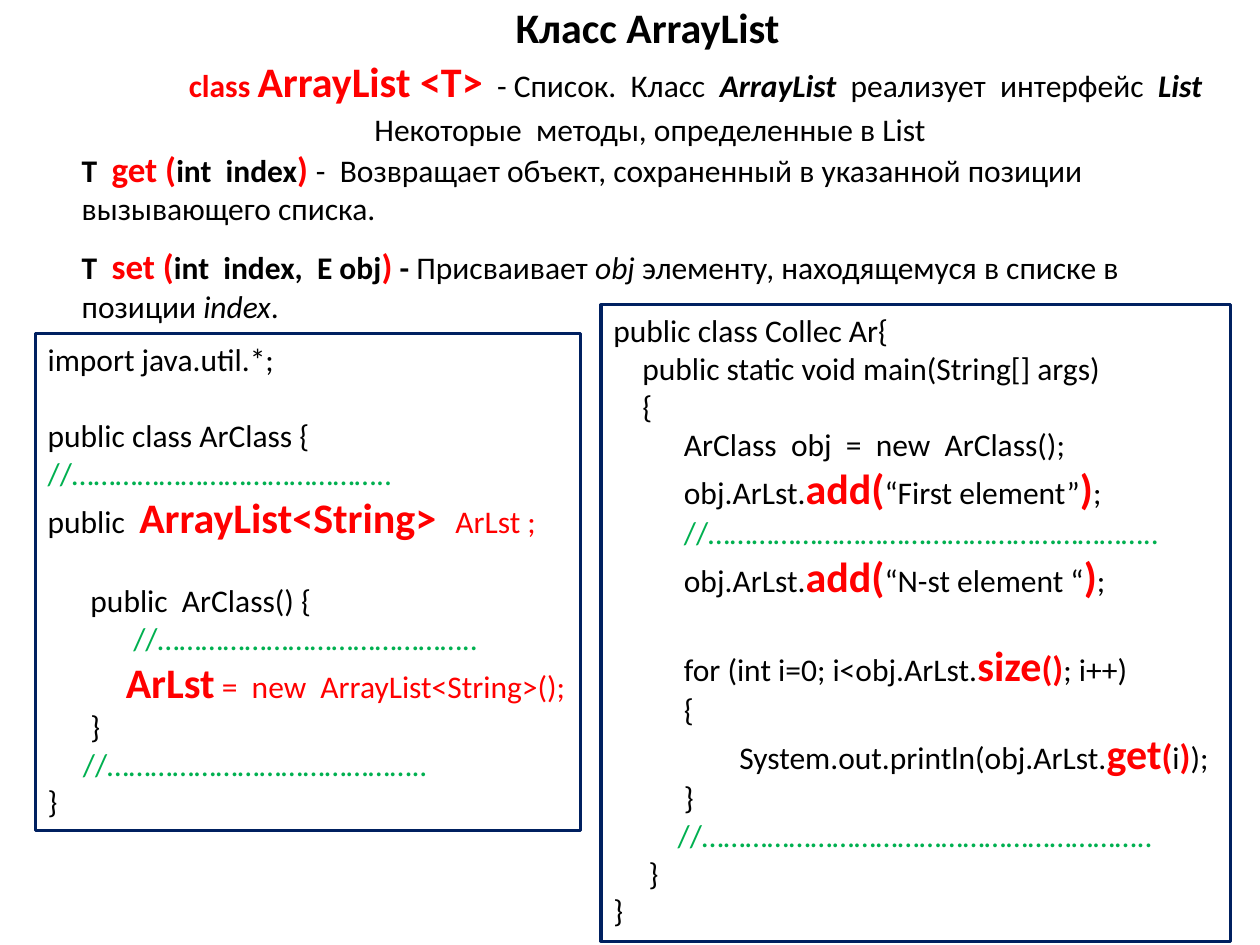
from pptx import Presentation
from pptx.dml.color import RGBColor
from pptx.enum.shapes import MSO_SHAPE as SHAPE
from pptx.enum.text import MSO_ANCHOR as ANCHOR, MSO_AUTO_SIZE as AUTO, PP_ALIGN as ALIGN
from pptx.util import Inches, Pt

BLACK = RGBColor(0x00, 0x00, 0x00)
RED = RGBColor(0xFF, 0x00, 0x00)
GREEN = RGBColor(0x00, 0xB0, 0x50)
NAVY = RGBColor(0x00, 0x20, 0x60)

FONT = "Calibri"
BLANK_LINE = 22
SMALL_GAP = 10

BASE = {"size": 18, "color": BLACK, "bold": False, "italic": False}
STYLES = {
    "plain": {},
    "bold": {"bold": True},
    "italic": {"italic": True},
    "bold_italic": {"bold": True, "italic": True},
    "title": {"size": 24, "bold": True},
    "comment": {"color": GREEN},
    "red": {"color": RED},
    "red_bold": {"color": RED, "bold": True},
    "red_mid": {"size": 20, "color": RED, "bold": True},
    "red_big": {"size": 24, "color": RED, "bold": True},
}

SHORT_RULE = "//…………………………………….."
LONG_RULE = "//…………………………………………………….."


def line(*runs, indent=0, before=0, align=ALIGN.LEFT):
    return {"runs": runs, "indent": indent, "before": before, "align": align}


def add_call(argument):
    return line("obj.ArLst.", ("add(", "red_big"), argument, (")", "red_big"), ";",
                indent=0.56)


TITLE = [line(("Класс ArrayList", "title"), align=ALIGN.CENTER)]

SUMMARY = [
    line(("class ", "red_bold"), ("ArrayList <T>", "red_big"), "  - Список.  Класс  ",
         ("ArrayList ", "bold_italic"), " реализует  интерфейс  ",
         ("List", "bold_italic"), align=ALIGN.CENTER),
]

METHODS = [
    line("Некоторые  методы, определенные в List", align=ALIGN.CENTER),
    line(("T  ", "bold"), ("get (", "red_mid"), ("int  index", "bold"), (") ", "red_mid"),
         "-  Возвращает объект, сохраненный в указанной позиции вызывающего списка."),
    line(("T  ", "bold"), ("set (", "red_mid"), ("int  index,  Е obj", "bold"),
         (")", "red_mid"), (" - ", "bold"), "Присваивает ", ("obj ", "italic"),
         "элементу, находящемуся в списке в позиции ", ("index", "italic"), ".",
         before=SMALL_GAP),
]

LIST_CLASS = [
    line("import java.util.*;"),
    line("public class ArClass {", before=BLANK_LINE),
    line((SHORT_RULE, "comment")),
    line("public  ", ("ArrayList<String>  ", "red_big"), ("ArLst ;", "red")),
    line("public  ArClass() {", indent=0.34, before=BLANK_LINE),
    line((SHORT_RULE, "comment"), indent=0.68),
    line(("ArLst", "red_big"), (" =  new  ArrayList<String>();", "red"), indent=0.62),
    line("}", indent=0.34),
    line((SHORT_RULE, "comment"), indent=0.28),
    line("}"),
]

MAIN_CLASS = [
    line("public class Collec Ar{"),
    line("public static void main(String[] args)", indent=0.23),
    line("{", indent=0.23),
    line("ArClass  obj  =  new  ArClass();", indent=0.56),
    add_call("“First element”"),
    line((LONG_RULE, "comment"), indent=0.56),
    add_call("“N-st element “"),
    line("for (int i=0; i<obj.ArLst.", ("size", "red_big"), ("()", "red_mid"), "; i++)",
         indent=0.56, before=BLANK_LINE),
    line("{", indent=0.56),
    line("System.out.println(obj.ArLst.", ("get", "red_big"), ("(", "red_mid"), "i",
         (")", "red_mid"), ");", indent=1),
    line("}", indent=0.56),
    line((LONG_RULE, "comment"), indent=0.51),
    line("}", indent=0.28),
    line("}"),
]

TEXTS = [
    ((1.91, -0.04, 6.46, 0.5), TITLE),
    ((1.38, 0.39, 8.28, 0.5), SUMMARY),
    ((0.55, 0.82, 9.22, 1.82), METHODS),
]
CODE_BOXES = [
    ((0.28, 2.65, 4.33, 3.94), LIST_CLASS, 0),
    ((4.77, 2.42, 5, 5.05), MAIN_CLASS, 0.1),
]


def write(sp, lines, right=0.1):
    tf = sp.text_frame
    frame = {"word_wrap": True, "auto_size": AUTO.SHAPE_TO_FIT_TEXT,
             "vertical_anchor": ANCHOR.TOP, "margin_right": Inches(right)}
    for name, value in frame.items():
        setattr(tf, name, value)
    for i, item in enumerate(lines):
        p = tf.add_paragraph() if i else tf.paragraphs[0]
        p.alignment = item["align"]
        p.space_before = Pt(item["before"])
        pPr = p._p.get_or_add_pPr()
        pPr.set("marL", str(Inches(item["indent"])))
        pPr.set("indent", "0")
        for run in item["runs"]:
            text, style = (run, "plain") if isinstance(run, str) else run
            look = BASE | STYLES[style]
            r = p.add_run()
            r.text = text
            r.font.color.rgb = look["color"]
            font = {"name": FONT, "size": Pt(look["size"]),
                    "bold": look["bold"], "italic": look["italic"]}
            for name, value in font.items():
                setattr(r.font, name, value)


def main():
    prs = Presentation()
    prs.slide_width, prs.slide_height = Inches(10), Inches(7.5)
    s = prs.slides.add_slide(prs.slide_layouts[6])
    for place, lines in TEXTS:
        write(s.shapes.add_textbox(*map(Inches, place)), lines)
    for place, lines, right in CODE_BOXES:
        sp = s.shapes.add_shape(SHAPE.RECTANGLE, *map(Inches, place))
        sp.shadow.inherit = False
        sp.fill.background()
        sp.line.color.rgb = NAVY
        sp.line.width = Pt(1.75)
        write(sp, lines, right)
    prs.save("out.pptx")


if __name__ == "__main__":
    main()
